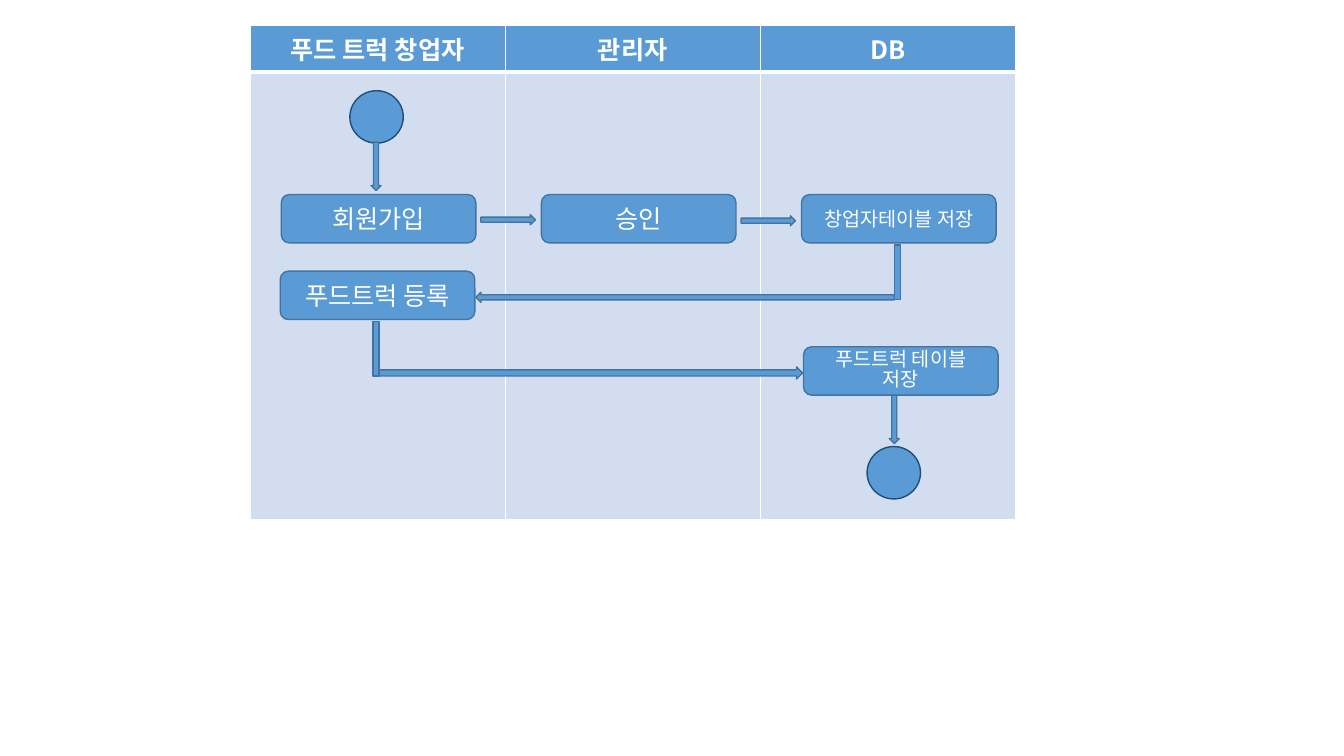
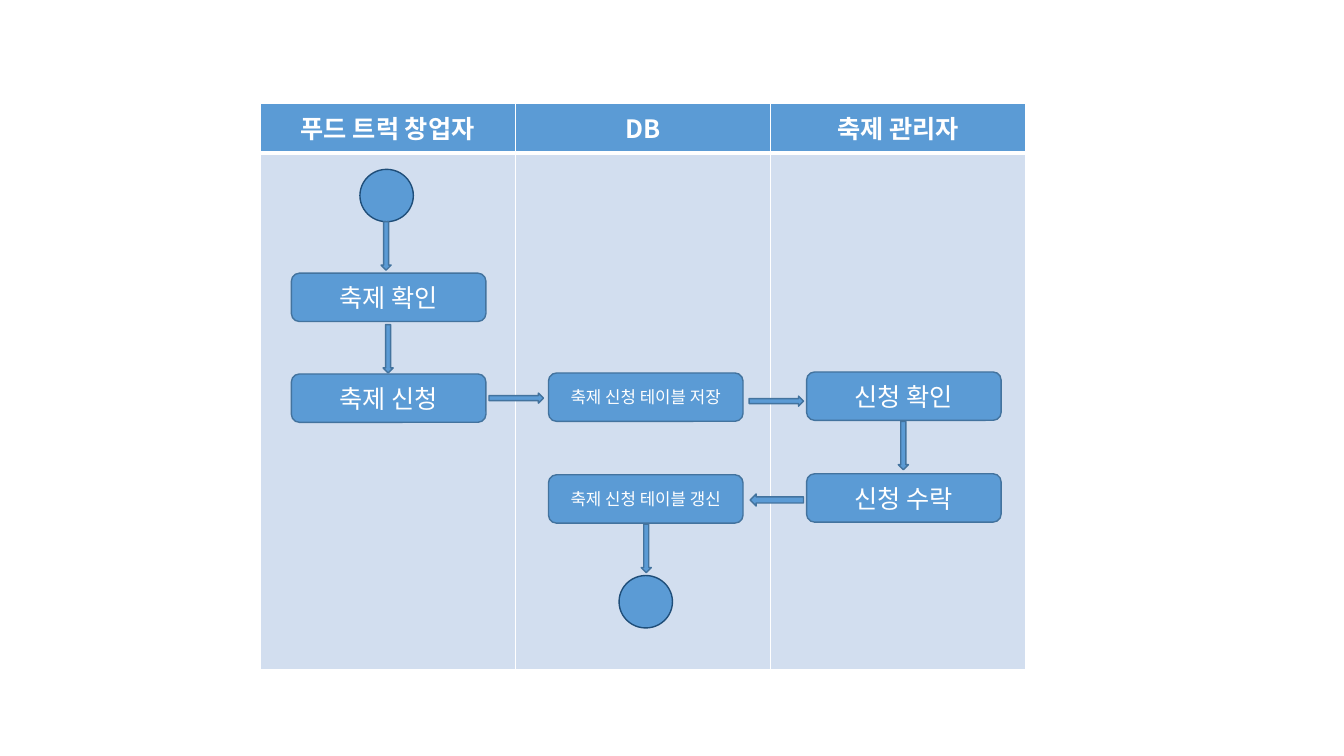
"""Build two swimlane flow charts for food truck registration and festival requests."""
from dataclasses import dataclass

from lxml import etree
from pptx import Presentation
from pptx import util as u
from pptx.dml.color import RGBColor
from pptx.enum import shapes, text
from pptx.oxml.ns import qn

KIND = shapes.MSO_SHAPE


@dataclass(frozen=True)
class Theme:
    """Colours, type sizes and repeated dimensions."""
    font: str = "Noto Sans CJK KR"
    main: str = "5B9BD5"
    lane: str = "D2DEEF"
    edge: str = "43739E"
    dot_edge: str = "1F4E79"
    light: str = "FFFFFF"
    large: int = 18
    medium: int = 14
    small: int = 12
    lane_width: float = 2.53
    box_width: float = 1.93
    box_height: float = 0.48
    dot_width: float = 0.53
    dot_height: float = 0.52


THEME = Theme()


def write(frame, words, size=THEME.large, bold=False, spacing=None):
    """Write centred light text into a text frame."""
    para = frame.paragraphs[0]
    para.alignment = text.PP_ALIGN.CENTER
    if spacing:
        para.line_spacing = spacing
    span = para.add_run()
    span.text = words
    span.font.size = u.Pt(size)
    span.font.bold = bold
    span.font.name = THEME.font
    span.font.color.rgb = RGBColor.from_string(THEME.light)
    east_asian = etree.SubElement(span.font._element, qn("a:ea"))
    east_asian.set("typeface", THEME.font)


def set_borders(cell, **widths):
    """Draw light borders on a cell, given widths in points by side."""
    properties = cell._tc.get_or_add_tcPr()
    for index, side in enumerate("LRTB"):
        line = etree.Element(qn(f"a:ln{side}"), w=str(u.Pt(widths.get(side, 1))))
        fill = etree.SubElement(line, qn("a:solidFill"))
        etree.SubElement(fill, qn("a:srgbClr"), val=THEME.light)
        properties.insert(index, line)


class FlowDeck:
    """Hold the deck and its current page, and draw flow chart elements."""

    def __init__(self):
        """Start an empty widescreen deck."""
        self.deck = Presentation()
        self.deck.slide_width = u.Inches(13.33)
        self.deck.slide_height = u.Inches(7.5)
        self.page = None

    def add_page(self):
        """Add a blank page and make it current."""
        self.page = self.deck.slides.add_slide(self.deck.slide_layouts[6])

    def lanes(self, left, top, names, heights):
        """Draw a table with one headed lane per name."""
        frame = self.page.shapes.add_table(
            2, len(names), u.Inches(left), u.Inches(top),
            u.Inches(THEME.lane_width * len(names)), u.Inches(sum(heights)))
        table = frame.table
        for row, height in zip(table.rows, heights):
            row.height = u.Inches(height)
        for column, name in enumerate(names):
            table.columns[column].width = u.Inches(THEME.lane_width)
            head, body = table.cell(0, column), table.cell(1, column)
            for cell, colour in ((head, THEME.main), (body, THEME.lane)):
                cell.fill.solid()
                cell.fill.fore_color.rgb = RGBColor.from_string(colour)
            write(head.text_frame, name, bold=True)
            set_borders(head, B=3)
            set_borders(body, T=3)

    def shape(self, kind, left, top, width, height, edge=THEME.edge):
        """Draw a filled and outlined preset shape."""
        shape = self.page.shapes.add_shape(
            kind, u.Inches(left), u.Inches(top), u.Inches(width), u.Inches(height))
        shape.shadow.inherit = False
        shape.fill.solid()
        shape.fill.fore_color.rgb = RGBColor.from_string(THEME.main)
        shape.line.color.rgb = RGBColor.from_string(edge)
        shape.line.width = u.Pt(1)
        return shape

    def step(self, words, left, top, **style):
        """Draw a rounded box with a step name."""
        box = self.shape(KIND.ROUNDED_RECTANGLE, left, top, THEME.box_width, THEME.box_height)
        box.text_frame.word_wrap = True
        box.text_frame.vertical_anchor = text.MSO_ANCHOR.MIDDLE
        write(box.text_frame, words, **style)

    def dot(self, left, top):
        """Draw a start or end dot."""
        self.shape(KIND.OVAL, left, top, THEME.dot_width, THEME.dot_height, THEME.dot_edge)

    def down(self, left, top):
        """Draw a downward arrow."""
        self.shape(KIND.DOWN_ARROW, left, top, 0.1, 0.48)

    def across(self, left, top, length=0.54, thickness=0.1, kind=KIND.RIGHT_ARROW):
        """Draw a horizontal arrow."""
        self.shape(kind, left, top, length, thickness)

    def stem(self, left, top):
        """Draw the upright part of a bent arrow."""
        self.shape(KIND.RECTANGLE, left, top, 0.06, 0.54)


def registration(flow):
    """Draw the food truck registration flow."""
    flow.add_page()
    flow.lanes(2.48, 0.25, ("푸드 트럭 창업자", "관리자", "DB"), (0.43, 4.44))
    flow.dot(3.47, 0.9)
    flow.down(3.68, 1.41)
    flow.step("회원가입", 2.79, 1.93)
    flow.across(4.77, 2.13)
    flow.step("승인", 5.37, 1.93)
    flow.across(7.35, 2.14)
    flow.step("창업자테이블 저장", 7.95, 1.93, size=THEME.medium)
    flow.across(4.72, 2.9, length=4.15, kind=KIND.LEFT_ARROW)
    flow.stem(8.87, 2.43)
    flow.step("푸드트럭 등록", 2.78, 2.69)
    flow.across(3.71, 3.64, length=4.25, thickness=0.12)
    flow.stem(3.7, 3.19)
    flow.step("푸드트럭 테이블 저장", 7.97, 3.44, size=THEME.medium, spacing=0.85)
    flow.down(8.82, 3.92)
    flow.dot(8.6, 4.43)


def festival_request(flow):
    """Draw the festival request flow."""
    flow.add_page()
    flow.lanes(2.58, 1.03, ("푸드 트럭 창업자", "DB", "축제 관리자"), (0.49, 5.12))
    flow.dot(3.57, 1.68)
    flow.down(3.78, 2.2)
    flow.step("축제 확인", 2.89, 2.71)
    flow.down(3.8, 3.22)
    flow.step("축제 신청", 2.89, 3.71)
    flow.across(4.85, 3.9)
    flow.step("축제 신청 테이블 저장", 5.44, 3.7, size=THEME.small)
    flow.across(7.43, 3.93)
    flow.step("신청 확인", 8, 3.69)
    flow.down(8.91, 4.18)
    flow.step("신청 수락", 8, 4.7)
    flow.across(7.44, 4.9, length=0.53, thickness=0.12, kind=KIND.LEFT_ARROW)
    flow.step("축제 신청 테이블 갱신", 5.44, 4.71, size=THEME.small)
    flow.down(6.36, 5.2)
    flow.dot(6.14, 5.71)


flow = FlowDeck()
registration(flow)
festival_request(flow)
flow.deck.save("out.pptx")
